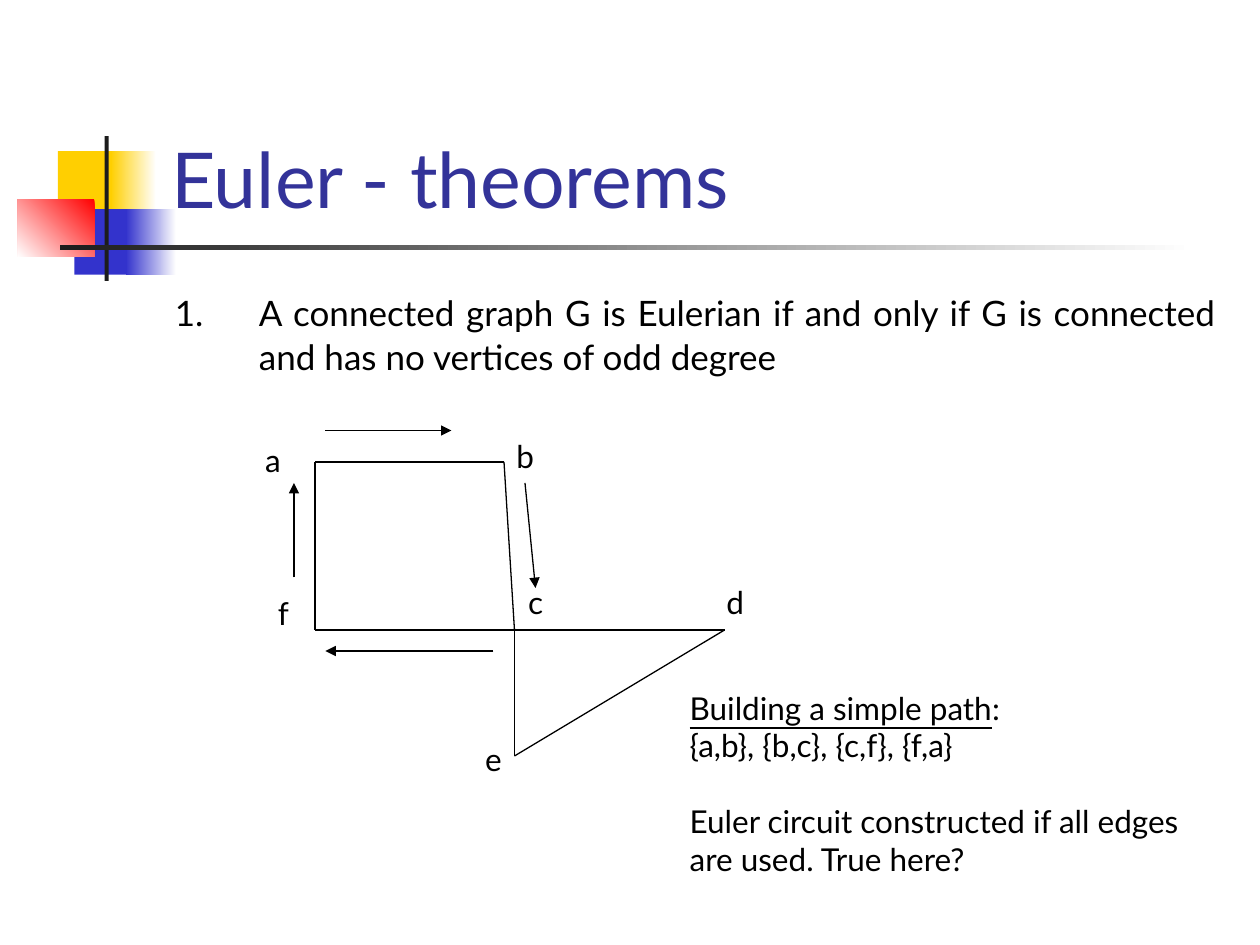
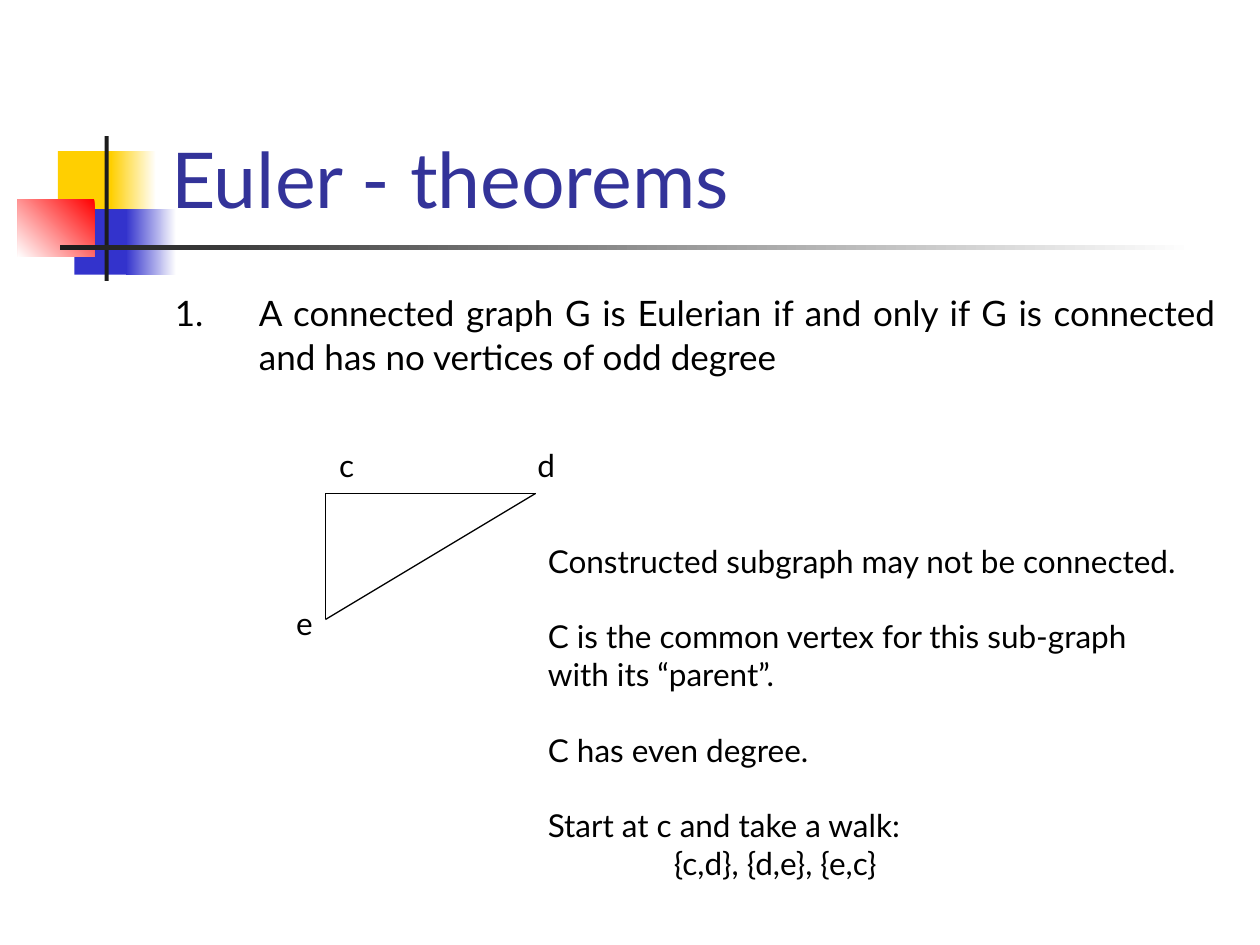
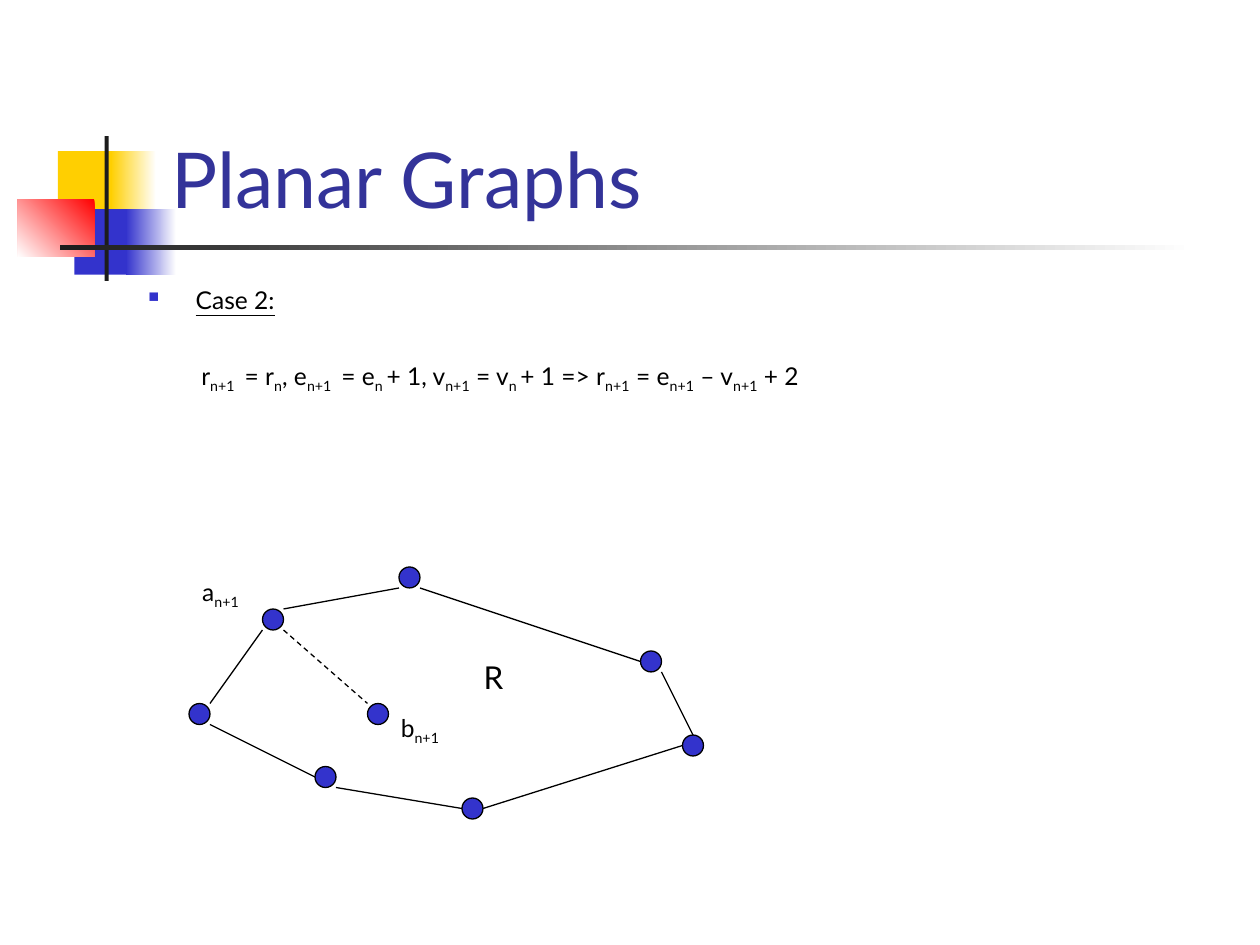
import pptx
import pptx.util
import pptx.dml.color
import pptx.enum.dml
import pptx.enum.shapes
import pptx.enum.text
import pptx.oxml
import pptx.oxml.ns
import pptx.oxml.xmlchemy

Pt = pptx.util.Pt
SHAPE = pptx.enum.shapes.MSO_SHAPE
ALIGN = pptx.enum.text.PP_ALIGN
ANCHOR = pptx.enum.text.MSO_ANCHOR


class Theme:
    font = "Lato"
    title, text, white = "333399", "000000", "FFFFFF"
    yellow, blue, red, dark = "FFCF01", "3333CC", "FF0000", "1C1C1C"
    title_size, tab_size, body_size, note_size, small_size = 44, 24, 20, 18, 14
    line_width = 0.75


# ---- Content ----
# Corner ornament: left, top, width, height, colours (two make a gradient), angle
ORNAMENT = [
    (33.12, 86.4, 34.56, 37.44, [Theme.yellow], None),
    (63.36, 86.4, 25.92, 37.44, [Theme.white, Theme.yellow], 180),
    (42.48, 119.52, 33.12, 37.44, [Theme.blue], None),
    (72, 119.52, 28.8, 37.44, [Theme.white, Theme.blue], 180),
    (10.08, 113.76, 43.92, 33.12, [Theme.red, Theme.white], 225),
    (59.76, 77.76, 2.4, 82.8, [Theme.dark], None),
    (34.56, 140.1, 648, 2.6, [Theme.white, Theme.dark], 180),
]
TITLE_AREA = (90.72, 16.56, 613.44, 115.2)
THEOREM = ("A connected graph G is Eulerian if and only if G is connected "
           "and has no vertices of odd degree")
THEOREM_AREA = (92.88, 159.12, 609.12, 74.88)

# Euler graph: vertex -> point and centre of its label
VERTICES = {
    "a": ((180, 264), (156, 263)),
    "b": ((288, 264), (300, 260.5)),
    "c": ((294, 360), (306, 344)),
    "d": ((414, 360), (420, 344)),
    "e": ((294, 432), (282, 434)),
    "f": ((180, 360), (162, 350.5)),
}
TRIANGLE = ["cd", "ce", "ed"]
GRAPH = ["ab", "af", "fc", "bc"] + TRIANGLE
TRIANGLE_SHIFT = (-108, -78)
WALK_ARROWS = [
    ((186, 246), (258, 246)),
    ((300, 276), (306, 336)),
    ((282, 372), (186, 372)),
    ((168, 330), (168, 276)),
]

# Notes: blocks of lines; each line is a list of (text, style) spans
PATH_NOTE = [
    [[("Building a simple path", {"underline": True}), (":", {})],
     [("{a,b}, {b,c}, {c,f}, {f,a}", {})]],
    [[("Euler circuit constructed if all edges", {})],
     [("are used. True here?", {})]],
]
WALK = [("{c,d}, {d,e}, {e,c}", {})]
SUBGRAPH_NOTE = [
    [[("Constructed subgraph may not be connected.", {})]],
    [[("C is the common vertex for this sub-graph", {})],
     [("with its “parent”.", {})]],
    [[("C has even degree.", {})]],
    [[("Start at c and take a walk:", {})], WALK],
]

# Planar graph: every second part of the formula is a subscript
CASE_TITLE = "Case 2:"
FORMULA = ["r", "n+1 ", " = r", "n", ", e", "n+1 ", " = e", "n ", "+ 1, v", "n+1",
           " = v", "n ", "+ 1 => r", "n+1", " = e", "n+1", " – v", "n+1", " + 2"]
CASE_AREA = (77.76, 159.12, 627.12, 74.88)
NODE_SIZE = 12
NODES = {
    "top": (228, 324), "a": (150, 348), "left": (108, 402), "low left": (180, 438),
    "bottom": (264, 456), "right": (390, 420), "upper right": (366, 372),
    "b": (210, 402),
}
# Node and its port (fractions across and down) at both ends, then dashed or not
EDGES = [
    ("top", (0, 1), "a", (1, 0), False),
    ("a", (0, 1), "left", (1, 0), False),
    ("left", (1, 1), "low left", (0, 0.5), False),
    ("low left", (1, 1), "bottom", (0, 0.5), False),
    ("bottom", (1, 0.5), "right", (0, 0.5), False),
    ("upper right", (1, 1), "right", (0.5, 0), False),
    ("top", (1, 1), "upper right", (0, 0.5), False),
    ("a", (1, 1), "b", (0, 0), True),
]
PLANAR_LABELS = [
    ((270, 378), ["R"], Theme.note_size),
    ((114, 330), ["a", "n+1"], Theme.small_size),
    ((228, 408), ["b", "n+1"], Theme.small_size),
]


# ---- Helpers ----
def color(value):
    return pptx.dml.color.RGBColor.from_string(value)


def add_span(para, text, size, ink=Theme.text, underline=False, subscript=False):
    span = para.add_run()
    span.text = text
    span.font.name, span.font.size = Theme.font, Pt(size)
    span.font.color.rgb = color(ink)
    if underline:
        span.font.underline = True
    if subscript:
        span._r.get_or_add_rPr().set("baseline", "-25000")


def add_alternating(para, parts, size):
    for index, part in enumerate(parts):
        add_span(para, part, size, subscript=index % 2 == 1)


def set_indent(para, left, first=0):
    properties = para._p.get_or_add_pPr()
    properties.set("marL", str(int(Pt(left))))
    properties.set("indent", str(int(Pt(first))))
    return properties


def add_text_box(page, area, wrap=True):
    box = page.shapes.add_textbox(*map(Pt, area))
    box.text_frame.word_wrap = wrap
    return box.text_frame


def add_filled(page, kind, area, fills, angle=None, outline=None):
    shape = page.shapes.add_shape(kind, *map(Pt, area))
    shape.shadow.inherit = False
    if len(fills) == 1:
        shape.fill.solid()
        shape.fill.fore_color.rgb = color(fills[0])
    else:
        shape.fill.gradient()
        shape.fill.gradient_angle = angle
        for stop, value in zip(shape.fill.gradient_stops, fills):
            stop.color.rgb = color(value)
    if outline:
        shape.line.color.rgb = color(outline)
        shape.line.width = Pt(Theme.line_width)
    else:
        shape.line.fill.background()
    return shape


def add_line(page, start, end, arrow=False, dashed=False):
    line = page.shapes.add_connector(
        pptx.enum.shapes.MSO_CONNECTOR.STRAIGHT, *map(Pt, (*start, *end)))
    line.line.color.rgb = color(Theme.text)
    line.line.width = Pt(Theme.line_width)
    if dashed:
        line.line.dash_style = pptx.enum.dml.MSO_LINE.DASH
    if arrow:
        head = pptx.oxml.xmlchemy.OxmlElement("a:tailEnd")
        head.set("type", "triangle")
        line.line._get_or_add_ln().append(head)
    line._element.spPr.append(pptx.oxml.xmlchemy.OxmlElement("a:effectLst"))


def add_page(deck, title):
    page = deck.slides.add_slide(deck.slide_layouts[6])
    for *area, fills, angle in ORNAMENT:
        add_filled(page, SHAPE.RECTANGLE, area, fills, angle)
    frame = add_text_box(page, TITLE_AREA)
    frame.vertical_anchor = ANCHOR.BOTTOM
    add_span(frame.paragraphs[0], title, Theme.title_size, Theme.title)
    return page


def add_theorem(page):
    para = add_text_box(page, THEOREM_AREA).paragraphs[0]
    para.alignment = ALIGN.JUSTIFY
    para.space_before = Pt(5)
    set_indent(para, 48, -48)
    add_span(para, "1.", Theme.body_size)
    add_span(para, "\t", Theme.tab_size)
    add_span(para, THEOREM, Theme.body_size)


def add_graph(page, edges, shift=(0, 0)):
    def moved(point):
        return point[0] + shift[0], point[1] + shift[1]

    for start, end in edges:
        add_line(page, moved(VERTICES[start][0]), moved(VERTICES[end][0]))
    for name in sorted(set("".join(edges))):
        x, y = moved(VERTICES[name][1])
        para = add_text_box(page, (x - 12, y - 14.4, 24, 28.8), wrap=False).paragraphs[0]
        para.alignment = ALIGN.CENTER
        add_span(para, name, Theme.note_size)


def add_note(page, area, blocks):
    frame = add_text_box(page, area)
    para = None
    for block in blocks:
        for index, line in enumerate(block):
            new_block = para is not None and index == 0
            para = frame.paragraphs[0] if para is None else frame.add_paragraph()
            if new_block:
                para.space_before = Pt(Theme.note_size * 1.2)
            if line is WALK:
                set_indent(para, 72)
            for text, style in line:
                add_span(para, text, Theme.note_size, **style)


def add_case(page):
    frame = add_text_box(page, CASE_AREA)
    para = frame.paragraphs[0]
    para.space_before = Pt(5)
    properties = set_indent(para, 27, -27)
    bullet = ('<a:buClr {0}><a:srgbClr val="{1}"/></a:buClr>',
              '<a:buSzPct {0} val="60000"/>', '<a:buChar {0} char="■"/>')
    for part in bullet:
        properties.append(pptx.oxml.parse_xml(
            part.format(pptx.oxml.ns.nsdecls("a"), Theme.blue)))
    add_span(para, CASE_TITLE, Theme.small_size, underline=True)
    para = frame.add_paragraph()
    para.space_before = Pt(26.8)
    set_indent(para, 30.2)
    add_alternating(para, FORMULA, Theme.small_size)


def add_planar_graph(page):
    def port(name, fractions):
        return [at + NODE_SIZE * part for at, part in zip(NODES[name], fractions)]

    for start, start_port, end, end_port, dashed in EDGES:
        add_line(page, port(start, start_port), port(end, end_port), dashed=dashed)
    for corner, parts, size in PLANAR_LABELS:
        label = add_filled(page, SHAPE.RECTANGLE, (*corner, 24, 18),
                           [Theme.white], outline=Theme.white)
        label.text_frame.word_wrap = False
        label.text_frame.vertical_anchor = ANCHOR.MIDDLE
        para = label.text_frame.paragraphs[0]
        para.alignment = ALIGN.CENTER
        add_alternating(para, parts, size)
    for corner in NODES.values():
        add_filled(page, SHAPE.OVAL, (*corner, NODE_SIZE, NODE_SIZE),
                   [Theme.blue], outline=Theme.text)


# ---- Slides ----
def main():
    deck = pptx.Presentation()
    deck.slide_width, deck.slide_height = Pt(720), Pt(540)

    # Whole graph with the first walk
    page = add_page(deck, "Euler - theorems")
    add_theorem(page)
    add_graph(page, GRAPH)
    for start, end in WALK_ARROWS:
        add_line(page, start, end, arrow=True)
    add_note(page, (387, 390, 315, 115.2), PATH_NOTE)

    # Remaining triangle
    page = add_page(deck, "Euler - theorems")
    add_theorem(page)
    add_graph(page, TRIANGLE, TRIANGLE_SHIFT)
    add_note(page, (306, 306, 402, 201.6), SUBGRAPH_NOTE)

    # Planar graph, second case
    page = add_page(deck, "Planar Graphs")
    add_case(page)
    add_planar_graph(page)

    deck.save("out.pptx")


if __name__ == "__main__":
    main()
